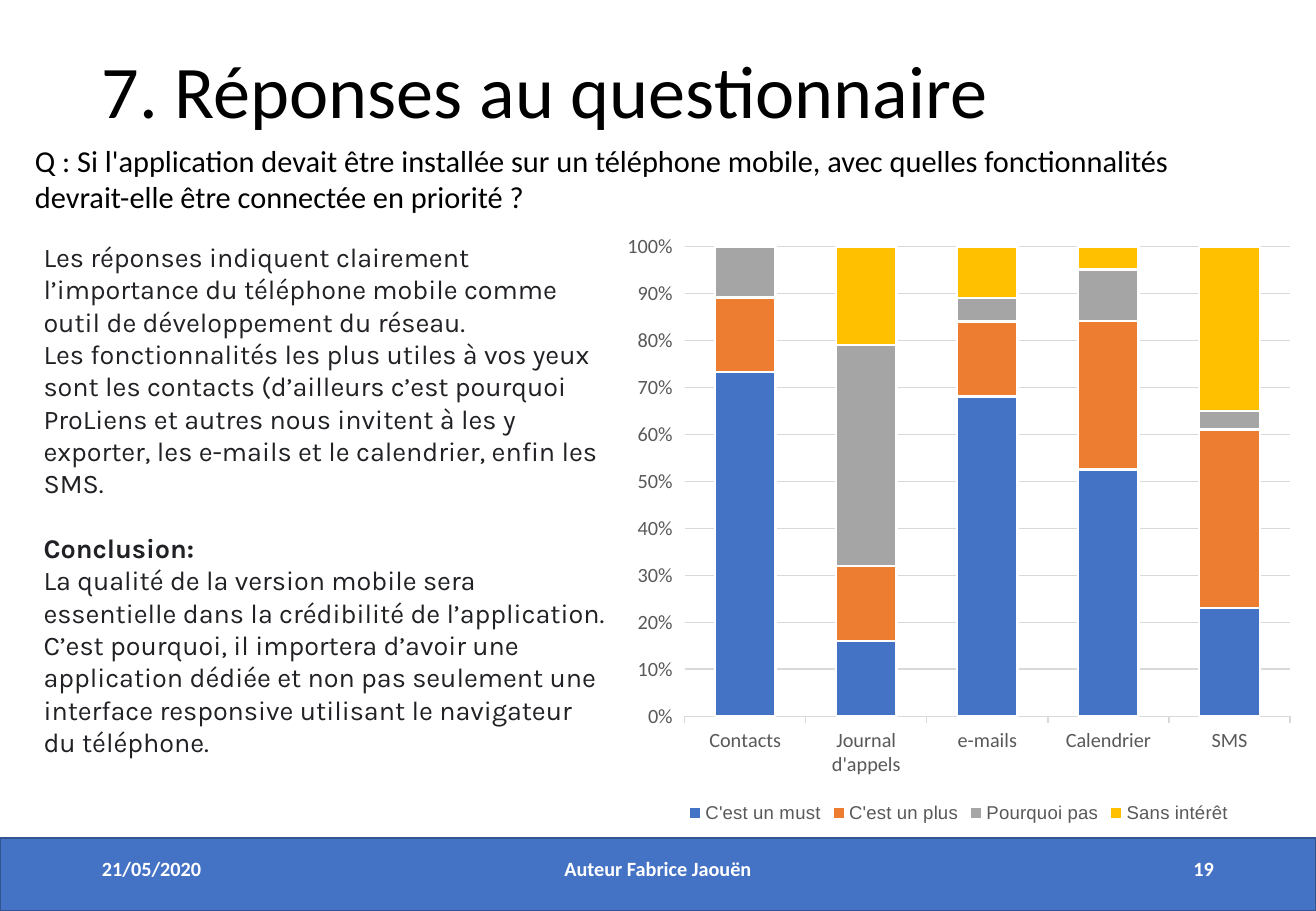
"""Build the slide on survey answers about mobile features."""
from dataclasses import dataclass

from pptx import Presentation
from pptx.chart.data import CategoryChartData as ChartData
from pptx.dml.color import RGBColor as Color
from pptx.enum.chart import XL_CHART_TYPE as Kind
from pptx.enum.chart import XL_LEGEND_POSITION as Spot
from pptx.enum.chart import XL_TICK_MARK as Tick
from pptx.enum.shapes import MSO_SHAPE as Form
from pptx.enum.text import MSO_ANCHOR as Anchor
from pptx.enum.text import PP_ALIGN as Align
from pptx.util import Inches, Pt


@dataclass(frozen=True)
class Theme:
    """Colours, fonts and type sizes of the slide."""
    black: str = "000000"
    white: str = "FFFFFF"
    ink: str = "202124"
    gray: str = "595959"
    grid: str = "D9D9D9"
    blue: str = "4472C4"
    edge: str = "325491"
    bars: tuple = ("4472C4", "ED7D31", "A5A5A5", "FFC000")
    main: str = "Calibri"
    prose: str = "Karla"
    sans: str = "Arial"
    head: int = 44
    query: int = 18
    body: int = 16
    small: int = 12
    key: int = 11


T = Theme()
WIDE, HIGH = Inches(10.83), Inches(7.5)

TITLE = "7. Réponses au questionnaire"
QUERY = ("Q : Si l'application devait être installée sur un téléphone mobile, avec quelles "
         "fonctionnalités devrait-elle être connectée en priorité ?")
BODY = [
    {"text": "Les réponses indiquent clairement l’importance du téléphone mobile comme outil "
             "de développement du réseau."},
    {"text": "Les fonctionnalités les plus utiles à vos yeux sont les contacts (d’ailleurs c’est "
             "pourquoi ProLiens et autres nous invitent à les y exporter, les e-mails et le "
             "calendrier, enfin les SMS."},
    {"text": "Conclusion:", "bold": True, "before": 19},
    {"text": "La qualité de la version mobile sera essentielle dans la crédibilité de "
             "l’application. C’est pourquoi, il importera d’avoir une application dédiée et non "
             "pas seulement une interface responsive utilisant le navigateur du téléphone."},
]
FOOT = [
    ("21/05/2020", 6.83, 22.5, Align.LEFT),
    ("Auteur Fabrice Jaouën", 33.1, 33.8, Align.CENTER),
    ("19", 70.65, 22.5, Align.RIGHT),
]
CATS = ["Contacts", "Journal d'appels", "e-mails", "Calendrier", "SMS"]
VOTES = {
    "C'est un must": (74, 16, 68, 53, 23),
    "C'est un plus": (16, 16, 16, 32, 38),
    "Pourquoi pas": (11, 47, 5, 11, 4),
    "Sans intérêt": (0, 21, 11, 5, 35),
}


def place(left, top, width, height):
    """Turn percentages of the slide into lengths."""
    return [int(part * side / 100) for part, side in
            zip((left, top, width, height), (WIDE, HIGH, WIDE, HIGH))]


def style(font, face, size, hue, bold=False):
    """Set face, size, colour and weight of a font."""
    font.name, font.size, font.bold = face, Pt(size), bold
    font.color.rgb = Color.from_string(hue)


def stroke(line, hue, width):
    """Set colour and width of a line."""
    line.color.rgb = Color.from_string(hue)
    line.width = Pt(width)


def paint(fill, hue):
    """Fill with one solid colour."""
    fill.solid()
    fill.fore_color.rgb = Color.from_string(hue)


def write(slide, text, box, size, face=T.main, hue=T.black, bold=False,
          align=Align.LEFT, anchor=Anchor.TOP, lead=None):
    """Add a text box from a string or a list of paragraph dicts."""
    frame = slide.shapes.add_textbox(*place(*box)).text_frame
    frame.word_wrap, frame.vertical_anchor = True, anchor
    parts = [{"text": text}] if isinstance(text, str) else text
    for row, part in enumerate(parts):
        para = frame.add_paragraph() if row else frame.paragraphs[0]
        para.alignment, para.line_spacing = align, lead
        para.space_before = Pt(part.get("before", 0))
        run = para.add_run()
        run.text = part["text"]
        style(run.font, face, size, hue, part.get("bold", bold))


def plot(slide, box):
    """Add the stacked chart of votes."""
    data = ChartData()
    data.categories = CATS
    for name, vals in VOTES.items():
        data.add_series(name, vals)
    chart = slide.shapes.add_chart(Kind.COLUMN_STACKED_100, *place(*box), data).chart
    chart.has_title = False
    style(chart.font, T.main, T.small, T.gray)
    chart.has_legend = True
    chart.legend.position = Spot.BOTTOM
    chart.legend.include_in_layout = False
    style(chart.legend.font, T.sans, T.key, T.gray)

    bars = chart.plots[0]
    bars.gap_width, bars.overlap, bars.vary_by_categories = 100, 100, False
    for item, hue in zip(bars.series, T.bars):
        paint(item.format.fill, hue)
        stroke(item.format.line, T.white, 1.5)

    cat, val = chart.category_axis, chart.value_axis
    for axis in (cat, val):
        axis.major_tick_mark = Tick.OUTSIDE
        style(axis.tick_labels.font, T.main, T.small, T.gray)
    stroke(cat.format.line, T.grid, 0.75)
    val.format.line.fill.background()
    stroke(val.major_gridlines.format.line, T.grid, 0.75)
    val.major_unit = 0.1
    val.tick_labels.number_format = "0%"
    val.tick_labels.number_format_is_linked = False


def main():
    """Lay out the slide and save it."""
    deck = Presentation()
    deck.slide_width, deck.slide_height = WIDE, HIGH
    slide = deck.slides.add_slide(deck.slide_layouts[6])

    band = slide.shapes.add_shape(Form.RECTANGLE, *place(0, 92, 100, 8))
    band.shadow.inherit = False
    paint(band.fill, T.blue)
    stroke(band.line, T.edge, 1)
    for text, left, width, align in FOOT:
        write(slide, text, (left, 92.67, width, 5.33), T.small, hue=T.white, bold=True,
              align=align, anchor=Anchor.MIDDLE)

    write(slide, TITLE, (6.83, 5.33, 86.2, 9.6), T.head, lead=0.9)
    write(slide, QUERY, (1.75, 14.93, 92.8, 9.47), T.query)
    plot(slide, (46.63, 24.4, 52.45, 66.53))
    write(slide, BODY, (2.4, 25.73, 44.6, 51.6), T.body, face=T.prose, hue=T.ink)
    deck.save("out.pptx")


if __name__ == "__main__":
    main()
